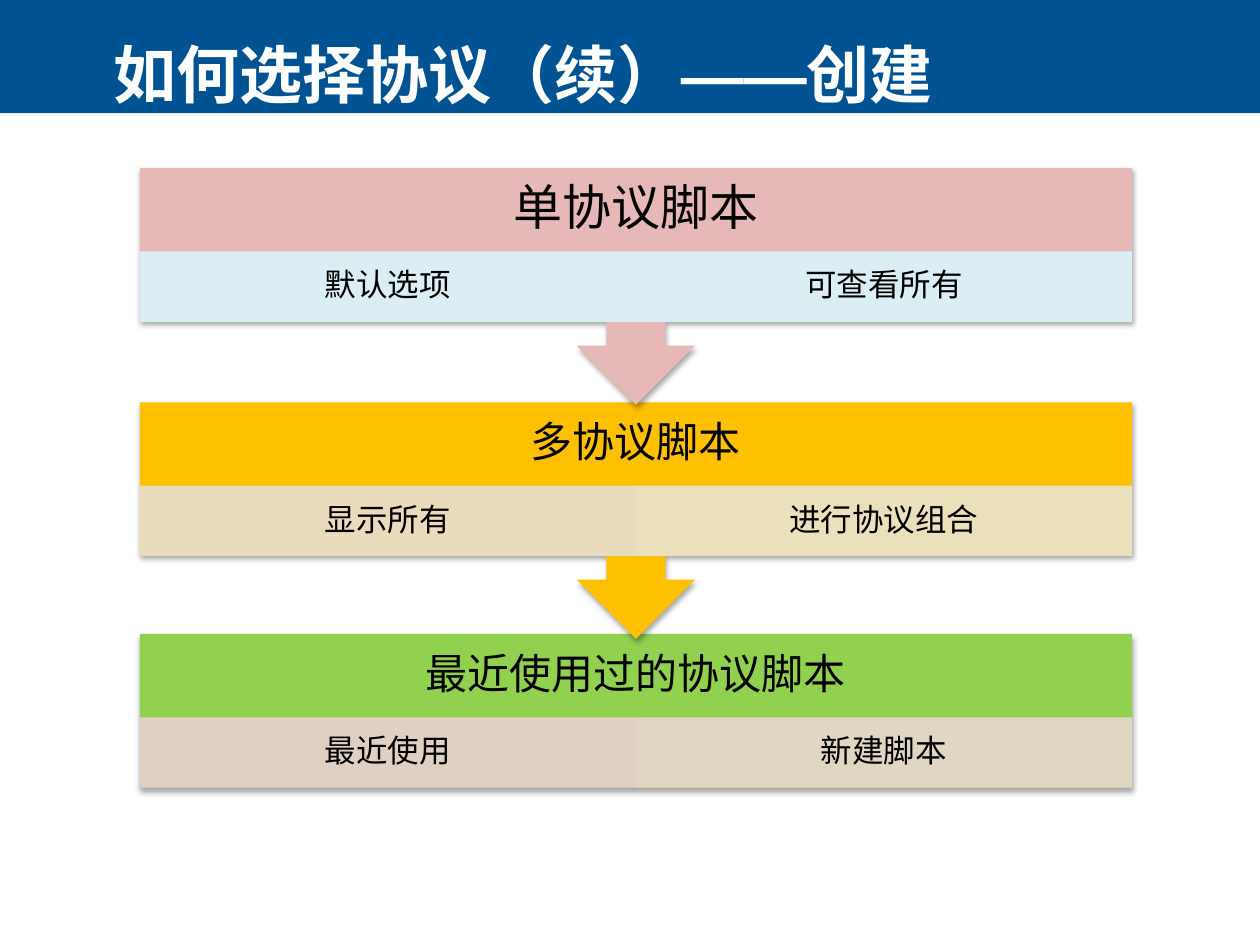
from lxml import etree
from pptx import Presentation
from pptx.dml.color import RGBColor
from pptx.enum import shapes, text
from pptx.oxml.ns import qn
from pptx.util import Cm, Pt

HEX = {"bar": "005392", "white": "FFFFFF", "black": "000000",
       "pink": "E6B9B8", "gold": "FFC000", "green": "92D050", "ice": "DBEEF4",
       "sand": "E8DED1", "straw": "E8E4D1", "rose": "E8D0D0", "clay": "E8D7D0"}
CJK = "Noto Sans CJK SC"
RECT = shapes.MSO_SHAPE.RECTANGLE
DOWN = shapes.MSO_SHAPE.DOWN_ARROW_CALLOUT

deck = Presentation()
deck.slide_width, deck.slide_height = Cm(25.4), Cm(19.05)
slide = deck.slides.add_slide(deck.slide_layouts[6])


def block(kind, x, y, w, h, fill):
    item = slide.shapes.add_shape(kind, Cm(x), Cm(y), Cm(w), Cm(h))
    item.shadow.inherit = False
    item.fill.solid()
    item.fill.fore_color.rgb = RGBColor.from_string(HEX[fill])
    item.line.fill.background()
    return item


def write(item, words, size, tint="black", font=CJK, bold=False, gap=0.9,
          anchor=text.MSO_ANCHOR.MIDDLE):
    frame = item.text_frame
    frame.word_wrap = True
    frame.vertical_anchor = anchor
    frame.margin_left = frame.margin_right = 0
    frame.margin_top = frame.margin_bottom = 0
    para = frame.paragraphs[0]
    para.alignment = text.PP_ALIGN.CENTER
    para.line_spacing = gap
    run = para.add_run()
    run.text = words
    run.font.size, run.font.bold, run.font.name = Pt(size), bold, font
    run.font.color.rgb = RGBColor.from_string(HEX[tint])
    etree.SubElement(run.font._element, qn("a:ea"), typeface=font)


# Title bar
block(RECT, 0, 0, 25.4, 2.28, "bar")
title = slide.shapes.add_textbox(Cm(1.9), Cm(0.72), Cm(17.3), Cm(1.57))
write(title, "如何选择协议（续）——创建", 36, "white", "Arial", True, 1.0,
      text.MSO_ANCHOR.TOP)

# Steps, lowest first so that each arrow tip lies over the next step
left, wide, head, foot = 2.82, 20, 1.68, 1.42
steps = [
    (12.78, RECT, head + foot, "green", "最近使用过的协议脚本", 24,
     [("最近使用", "rose"), ("新建脚本", "clay")], 90),
    (8.11, DOWN, 4.77, "gold", "多协议脚本", 24,
     [("显示所有", "sand"), ("进行协议组合", "straw")], 90),
    (3.39, DOWN, 4.77, "pink", "单协议脚本", 28,
     [("默认选项", "ice"), ("可查看所有", "ice")], 100),
]
for top, kind, high, fill, name, size, cells, solid in steps:
    body = block(kind, left, top, wide, high, fill)
    # Soft shadow below the step
    glow = etree.SubElement(body._element.spPr.find(qn("a:effectLst")),
                            qn("a:outerShdw"), blurRad=str(Pt(3.1)),
                            dist=str(Pt(1.8)), dir="5400000", rotWithShape="0")
    dark = etree.SubElement(glow, qn("a:srgbClr"), val=HEX["black"])
    etree.SubElement(dark, qn("a:alpha"), val="35000")

    label = slide.shapes.add_textbox(Cm(left), Cm(top), Cm(wide), Cm(head))
    write(label, name, size)

    # Two equal cells under the heading
    half = wide / len(cells)
    for col, (words, tint) in enumerate(cells):
        cell = block(RECT, left + col * half, top + head, half, foot, tint)
        if solid < 100:
            clr = cell._element.spPr.find(qn("a:solidFill"))[0]
            etree.SubElement(clr, qn("a:alpha"), val=str(solid * 1000))
        write(cell, words, 18)

deck.save("out.pptx")
